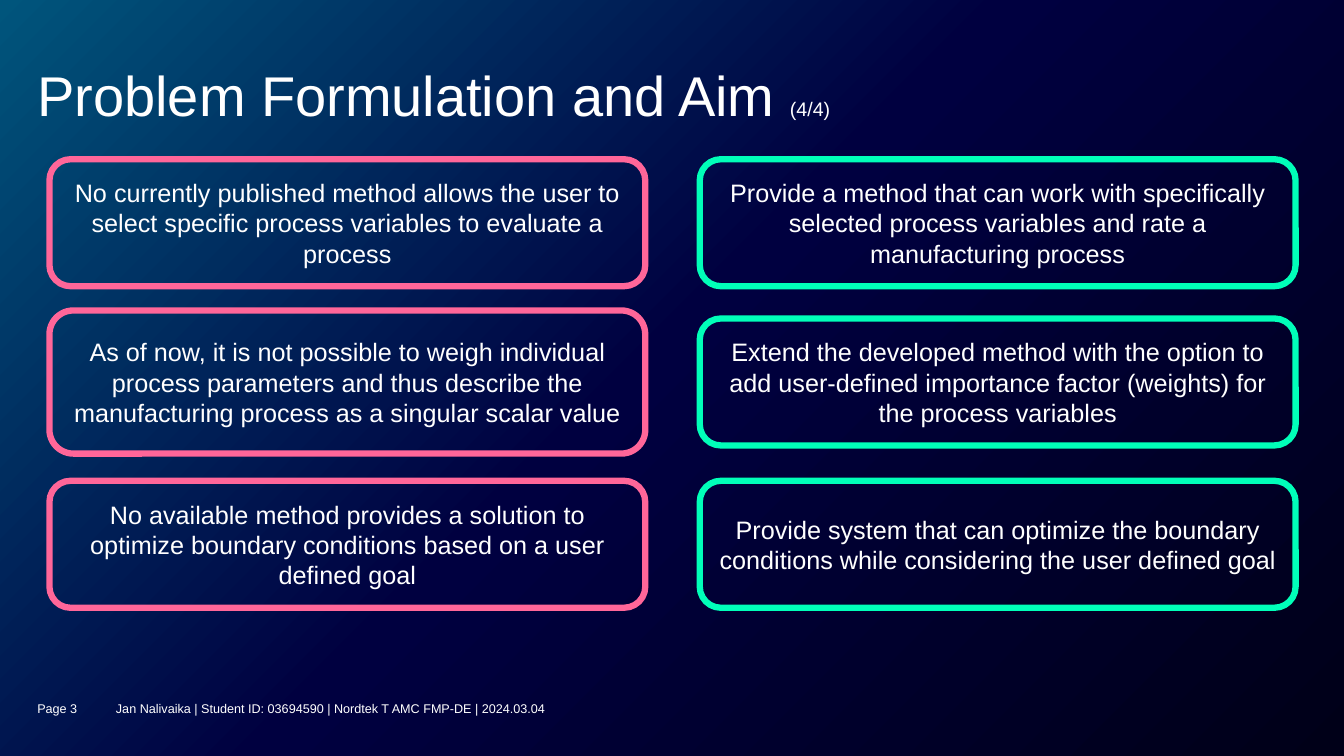
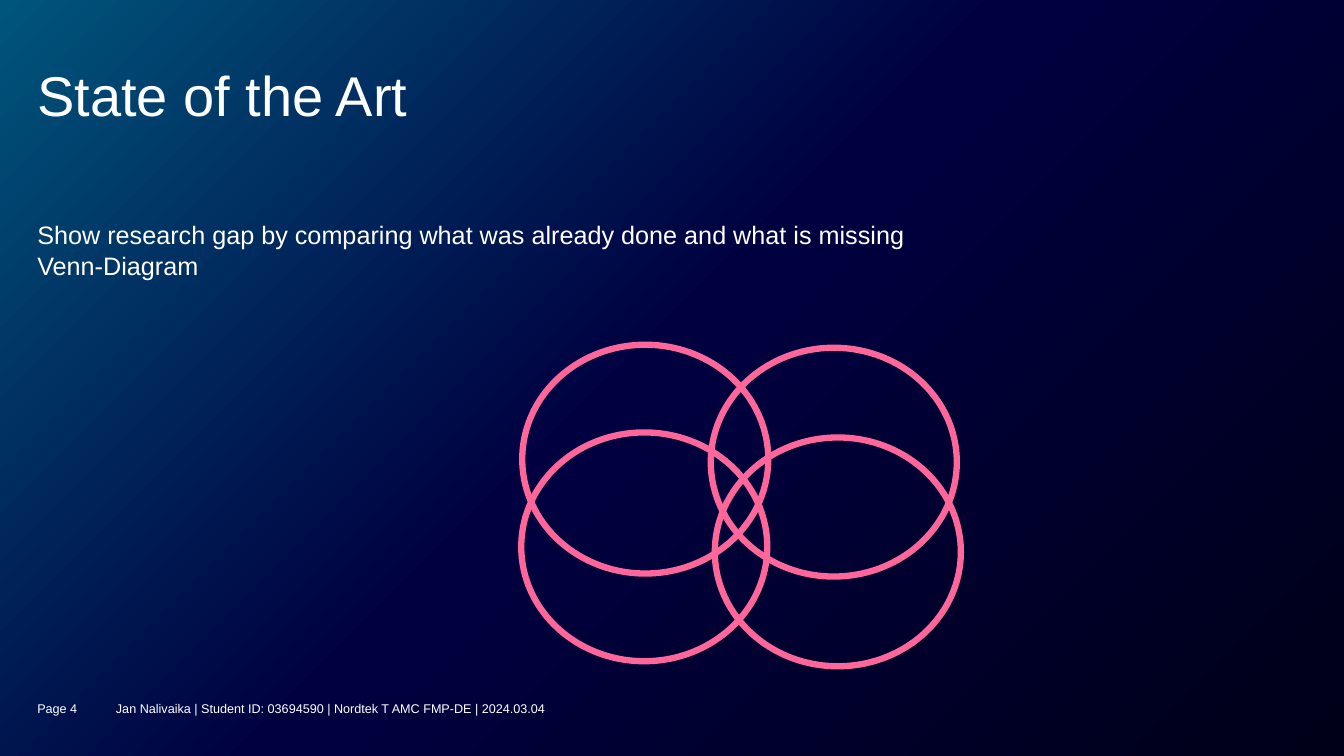
import copy

import pptx
import pptx.util
import pptx.dml.color
import pptx.enum.shapes
import pptx.enum.text
import pptx.oxml.ns

Inches, Pt = pptx.util.Inches, pptx.util.Pt
SHAPE = pptx.enum.shapes.MSO_SHAPE
ANCHOR = pptx.enum.text.MSO_ANCHOR
ALIGN = pptx.enum.text.PP_ALIGN

WHITE, PINK, GREEN = "FFFFFF", "FF6699", "00FFB9"
GRADIENT = [(0, "00557C"), (0.48, "000040"), (1, "000018")]
FOOTER = "Jan Nalivaika | Student ID: 03694590 | Nordtek T AMC FMP-DE | 2024.03.04"
LEFT = 0.37


def color(value):
    return pptx.dml.color.RGBColor.from_string(value)


def write(sp, paragraphs, anchor, insets, align=ALIGN.LEFT):
    """Fill a shape with paragraphs, each a list of (text, size) runs."""
    tf = sp.text_frame
    tf.word_wrap = True
    tf.vertical_anchor = anchor
    tf.margin_left, tf.margin_top, tf.margin_right, tf.margin_bottom = map(Inches, insets)
    for i, runs in enumerate(paragraphs):
        p = tf.add_paragraph() if i else tf.paragraphs[0]
        p.alignment = align
        for text, size in runs:
            r = p.add_run()
            r.text = text
            r.font.name = "Arial"
            r.font.size = Pt(size)
            r.font.color.rgb = color(WHITE)


prs = pptx.Presentation()
prs.slide_width, prs.slide_height = Inches(13.33), Inches(7.5)

# Shared background: diagonal gradient with three stops
fill = prs.slide_master.background.fill
fill.gradient()
fill.gradient_angle = 315
stops = prs.slide_master.element.find(".//" + pptx.oxml.ns.qn("a:gsLst"))
stops.append(copy.deepcopy(stops[-1]))
for stop, (position, value) in zip(fill.gradient_stops, GRADIENT):
    stop.position = position
    stop.color.rgb = color(value)

# Slide content: title runs, body paragraphs, outlined shapes
boxes = [
    (PINK, 0.49, 1.58, 1.26, "No currently published method allows the user to select "
     "specific process variables to evaluate a process"),
    (PINK, 0.49, 3.08, 1.42, "As of now, it is not possible to weigh individual process "
     "parameters and thus describe the manufacturing process as a singular scalar value"),
    (PINK, 0.49, 4.77, 1.26, "No available method provides a solution to optimize boundary "
     "conditions based on a user defined goal"),
    (GREEN, 6.94, 1.58, 1.26, "Provide a method that can work with specifically selected "
     "process variables and rate a manufacturing process"),
    (GREEN, 6.94, 3.16, 1.26, "Extend the developed method with the option to add "
     "user-defined importance factor (weights) for the process variables"),
    (GREEN, 6.94, 4.77, 1.26, "Provide system that can optimize the boundary conditions "
     "while considering the user defined goal"),
]
circles = [(7.09, 4.34), (7.05, 3.45), (5.17, 4.29), (5.18, 3.42)]
slides = [
    ([("Problem Formulation and Aim ", 40), ("(4/4)", 14)], [],
     [(SHAPE.ROUNDED_RECTANGLE, x, y, 5.91, h, line, text) for line, x, y, h, text in boxes]),
    ([("State of the Art", 40)],
     ["Show research gap by comparing what was already done and what is missing",
      "Venn-Diagram"],
     [(SHAPE.OVAL, x, y, 2.44, 2.27, PINK, "") for x, y in circles]),
]

for page, (title, body, shapes) in enumerate(slides, start=3):
    s = prs.slides.add_slide(prs.slide_layouts[6])

    # Title, footer and body text
    texts = [
        (LEFT, 0.6, 12.44, 0.67, [title], ANCHOR.BOTTOM, 0),
        (LEFT, 6.9, 0.63, 0.32, [[(f"Page {page}", 9)]], ANCHOR.MIDDLE, 0.07),
        (1.15, 6.9, 10.08, 0.32, [[(FOOTER, 9)]], ANCHOR.MIDDLE, 0.07),
    ]
    if body:
        texts.append((LEFT, 2.18, 11.1, 0.61, [[(t, 18)] for t in body], ANCHOR.TOP, 0))
    for x, y, w, h, paragraphs, anchor, bottom in texts:
        sp = s.shapes.add_textbox(Inches(x), Inches(y), Inches(w), Inches(h))
        write(sp, paragraphs, anchor, (0, 0, 0, bottom))

    # Outlined boxes or circles
    for kind, x, y, w, h, line, text in shapes:
        sp = s.shapes.add_shape(kind, Inches(x), Inches(y), Inches(w), Inches(h))
        sp.shadow.inherit = False
        sp.fill.background()
        sp.line.color.rgb = color(line)
        sp.line.width = Pt(4.5)
        if text:
            write(sp, [[(text, 18)]], ANCHOR.MIDDLE, (0.12, 0.08, 0.12, 0.08), ALIGN.CENTER)

prs.save("out.pptx")
